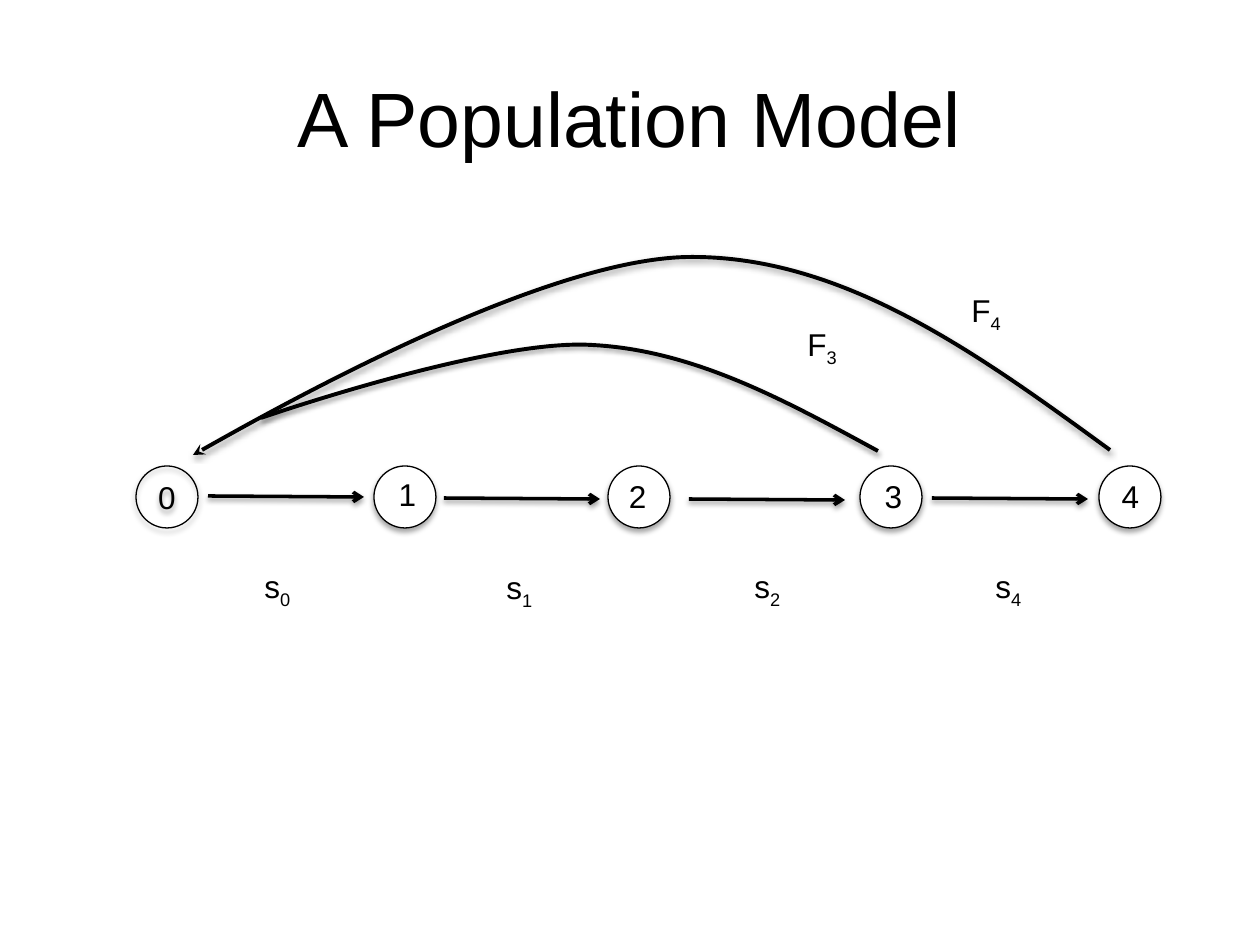
"""Build a slide with a life-stage diagram of a population model."""
from lxml import etree
from pptx import Presentation
from pptx.dml.color import RGBColor
from pptx.enum.shapes import MSO_CONNECTOR, MSO_SHAPE
from pptx.enum.text import MSO_ANCHOR, MSO_AUTO_SIZE, PP_ALIGN
from pptx.oxml.ns import qn
from pptx.util import Emu, Pt

LEFT, MID = PP_ALIGN.LEFT, PP_ALIGN.CENTER
TOP, CENTER = MSO_ANCHOR.TOP, MSO_ANCHOR.MIDDLE
GROW, FIXED = MSO_AUTO_SIZE.SHAPE_TO_FIT_TEXT, MSO_AUTO_SIZE.NONE
OVAL, STRAIGHT = MSO_SHAPE.OVAL, MSO_CONNECTOR.STRAIGHT

SCALE = 914400 / 126
COLORS = {"ink": "000000", "paper": "FFFFFF"}

TITLE = ("A Population Model", (63, 38, 1134, 157))
STAGES = [136, 374, 608, 860, 1099]
STAGE_TOP, STAGE_SIZE = 466, 62
DIGITS = [("1", 386, 469), ("2", 616, 471), ("3", 872, 471), ("4", 1109, 471)]
STEPS = [(208, 496), (444, 498), (689, 499), (932, 498)]
STEP_LEN, STEP_DROP = 156, 1
RATES = [
    ("s", "0", 252, 561, 53), ("s", "1", 494, 562, 53),
    ("s", "2", 742, 561, 53), ("s", "4", 983, 561, 53),
    ("F", "4", 959, 285, 57), ("F", "3", 795, 319, 57),
]
LABEL_H = 50
CURVES = [
    ([(1110, 450), (977, 353), (843, 256), (690, 257),
      (538, 258), (193, 455), (193, 455)], "stealth"),
    ([(878, 451), (786, 401), (694, 350), (591, 345),
      (489, 339), (261, 418), (261, 418)], None),
]

FONT = {"name": "Arial", "bold": False}
TITLE_FRAME = {"word_wrap": True, "vertical_anchor": CENTER, "auto_size": FIXED}
LABEL_FRAME = {"word_wrap": False, "vertical_anchor": TOP, "auto_size": GROW}
STAGE_FRAME = {"word_wrap": True, "vertical_anchor": CENTER, "auto_size": FIXED}


def px(*vals):
    return [Emu(round(v * SCALE)) for v in vals]


def color(name):
    return RGBColor.from_string(COLORS[name])


def apply(obj, vals):
    for key, val in vals.items():
        setattr(obj, key, val)


def write(shape, text, sub="", size=18, align=MID, frame=LABEL_FRAME):
    apply(shape.text_frame, frame)
    para = shape.text_frame.paragraphs[0]
    para.alignment = align
    for part, base in ((text, None), (sub, "-25000")):
        if not part:
            continue
        run = para.add_run()
        run.text = part
        apply(run.font, FONT | {"size": Pt(size)})
        run.font.color.rgb = color("ink")
        if base:
            run.font._element.set("baseline", base)


def outline(shape, width, alpha, dist, tip=None):
    shape.line.color.rgb = color("ink")
    shape.line.width = Pt(width)
    props = shape.element.spPr
    if tip:
        etree.SubElement(props.find(qn("a:ln")), qn("a:tailEnd"), type=tip)
    effect = etree.SubElement(props, qn("a:effectLst"))
    shade = etree.SubElement(
        effect, qn("a:outerShdw"), blurRad=str(Pt(3.1)), dist=str(Pt(dist)),
        dir="5400000", rotWithShape="0")
    tone = etree.SubElement(shade, qn("a:srgbClr"), val=COLORS["ink"])
    etree.SubElement(tone, qn("a:alpha"), val=str(alpha * 1000))


def bend(shape):
    route = shape.element.spPr.find(".//" + qn("a:path"))
    lines = route.findall(qn("a:lnTo"))
    for i in range(0, len(lines), 3):
        curve = etree.SubElement(route, qn("a:cubicBezTo"))
        for line in lines[i:i + 3]:
            curve.append(line[0])
            route.remove(line)


def main():
    deck = Presentation()
    deck.slide_width, deck.slide_height = px(1260, 945)
    slide = deck.slides.add_slide(deck.slide_layouts[6])
    shapes = slide.shapes

    text, box = TITLE
    write(shapes.add_textbox(*px(*box)), text, size=44, frame=TITLE_FRAME)

    for i, left in enumerate(STAGES):
        stage = shapes.add_shape(
            OVAL, *px(left, STAGE_TOP, STAGE_SIZE, STAGE_SIZE))
        if i:
            stage.fill.solid()
            stage.fill.fore_color.rgb = color("paper")
        else:
            stage.fill.background()
            write(stage, "0", frame=STAGE_FRAME)
        outline(stage, 0.75, 35, 1.8)

    for x, y in STEPS:
        step = shapes.add_connector(
            STRAIGHT, *px(x, y, x + STEP_LEN, y + STEP_DROP))
        outline(step, 2, 38, 1.6, "arrow")

    for text, x, y in DIGITS:
        write(shapes.add_textbox(*px(x, y, 43, LABEL_H)), text)
    for text, sub, x, y, wide in RATES:
        write(shapes.add_textbox(*px(x, y, wide, LABEL_H)), text, sub, align=LEFT)

    for points, tip in CURVES:
        form = shapes.build_freeform(*points[0], scale=SCALE)
        form.add_line_segments(points[1:], close=False)
        curve = form.convert_to_shape()
        bend(curve)
        curve.fill.background()
        outline(curve, 2.25, 38, 1.6, tip)

    deck.save("out.pptx")


if __name__ == "__main__":
    main()
